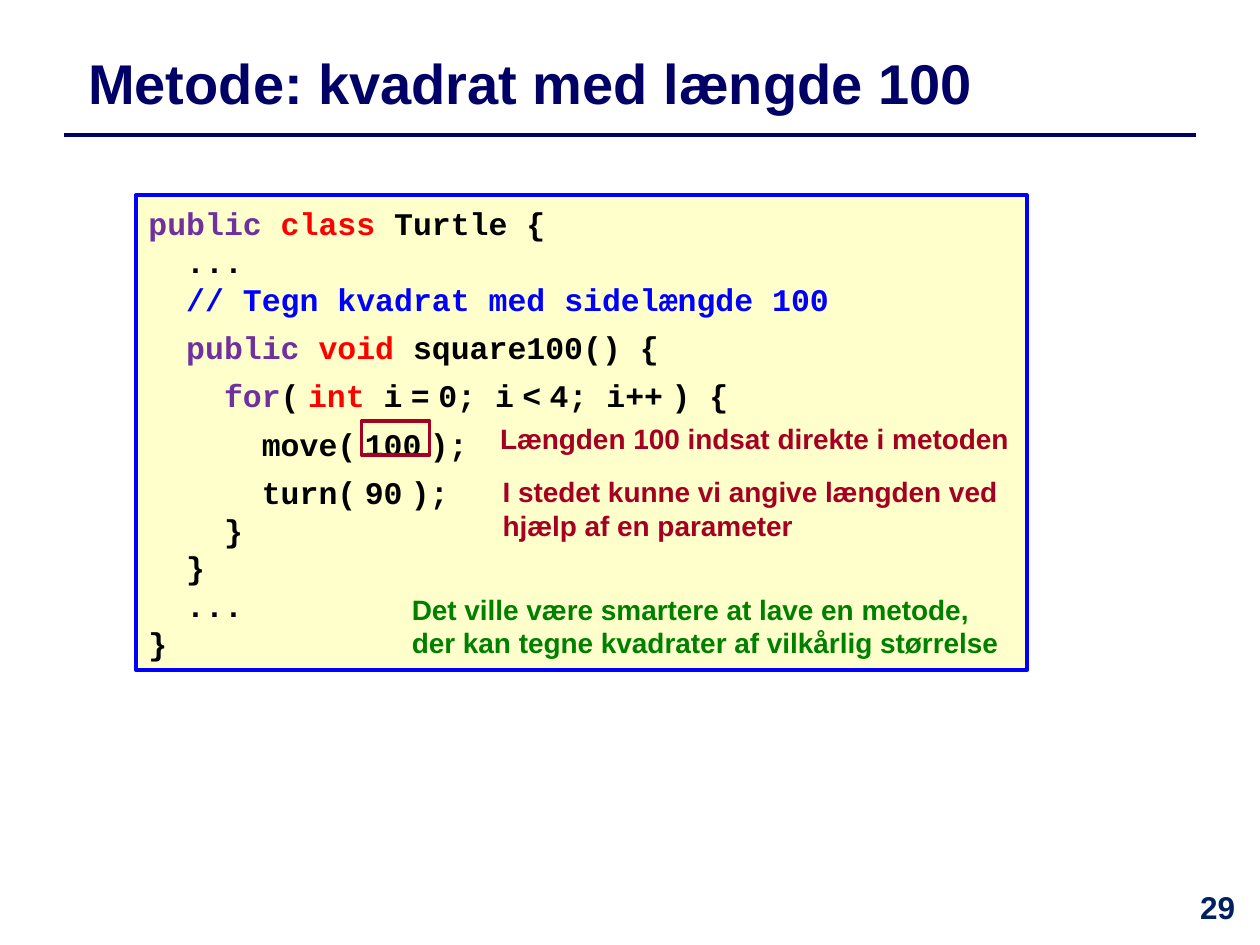
from pptx import Presentation
from pptx import util as u
from pptx.dml.color import RGBColor
from pptx.enum import shapes, text
from pptx.oxml.ns import qn
from lxml import etree

Pt = u.Pt

COLORS = {
    "navy": "000066", "paper": "FFFFCC", "blue": "0000FF", "purple": "7030A0",
    "red": "FF0000", "black": "000000", "crimson": "A50021", "green": "008000",
    "number": "002060",
}
TITLE = "Metode: kvadrat med længde 100"
THIN = "~"
CODE = [
    (0, 0, [("public ", "purple"), ("class ", "red"), ("Turtle {", "black")]),
    (1, 0, [("...", "black")]),
    (1, 0, [("// Tegn kvadrat med sidelængde 100", "blue")]),
    (1, 6, [("public ", "purple"), ("void", "red"), (" square100() {", "black")]),
    (2, 6, [("for", "purple"), ("(~", "black"), ("int ", "red"),
            ("i~=~0; i~<~4; i++~) {", "black")]),
    (3, 6, [("move(~100~);", "black")]),
    (3, 6, [("turn(~90~);", "black")]),
    (2, 0, [("}", "black")]),
    (1, 0, [("}", "black")]),
    (1, 0, [("...", "black")]),
    (0, 0, [("}", "black")]),
]
NOTES = [
    ("Det ville være smartere at lave en metode, der kan tegne kvadrater af vilkårlig størrelse",
     "green", (228.24, 334.8, 360, 46.08)),
    ("I stedet kunne vi angive længden ved hjælp af en parameter",
     "crimson", (280.08, 267.84, 308.88, 46.08)),
    ("Længden 100 indsat direkte i metoden",
     "crimson", (278.64, 237.6, 317.52, 26.64)),
]
CODE_BOX = (77.76, 111.6, 509.04, 271.44)
VALUE_BOX = (206.64, 240.48, 38.88, 19.44)
CODE_SIZE, THIN_SIZE, CODE_PITCH, LEVEL_INDENT = 18, 8, 21.6, 21.6


def rgb(name):
    return RGBColor.from_string(COLORS[name])


def points(values):
    return [Pt(v) for v in values]


def assign(obj, values):
    for name, value in values.items():
        setattr(obj, name, value)


def add_run(p, words, size, color, font="Arial"):
    r = p.add_run()
    r.text = words
    assign(r.font, {"name": font, "size": Pt(size), "bold": True})
    r.font.color.rgb = rgb(color)


def add_label(s, box, words, size, color, align):
    tf = s.shapes.add_textbox(*points(box)).text_frame
    tf.word_wrap = True
    p = tf.paragraphs[0]
    p.alignment = align
    add_run(p, words, size, color)


def add_box(s, box, line, width, fill=None):
    sp = s.shapes.add_shape(shapes.MSO_SHAPE.RECTANGLE, *points(box))
    sp.shadow.inherit = False
    if fill:
        sp.fill.solid()
        sp.fill.fore_color.rgb = rgb(fill)
    else:
        sp.fill.background()
    sp.line.color.rgb = rgb(line)
    sp.line.width = Pt(width)
    return sp


def add_title(s):
    sp = s.shapes.title
    assign(sp, dict(zip(("left", "top", "width", "height"),
                        points((43.2, 20.16, 646.56, 54)))))
    tf = sp.text_frame
    assign(tf, {"vertical_anchor": text.MSO_ANCHOR.MIDDLE, "word_wrap": True,
                "auto_size": text.MSO_AUTO_SIZE.NONE})
    p = tf.paragraphs[0]
    p.alignment = text.PP_ALIGN.LEFT
    add_run(p, TITLE, 32, "navy")

    rule = s.shapes.add_connector(shapes.MSO_CONNECTOR.STRAIGHT,
                                  *points((36.72, 77.04, 683.28, 77.04)))
    rule.line.color.rgb = rgb("navy")
    rule.line.width = Pt(2)
    etree.SubElement(rule._element.spPr, qn("a:effectLst"))


def add_code(s):
    tf = add_box(s, CODE_BOX, "blue", 2.25, "paper").text_frame
    assign(tf, {"word_wrap": True, "vertical_anchor": text.MSO_ANCHOR.TOP,
                "margin_top": Pt(5)})
    for i, (level, before, parts) in enumerate(CODE):
        p = tf.add_paragraph() if i else tf.paragraphs[0]
        assign(p, {"alignment": text.PP_ALIGN.LEFT, "space_before": Pt(before),
                   "line_spacing": Pt(CODE_PITCH)})
        p._p.get_or_add_pPr().set("marL", str(Pt(level * LEVEL_INDENT)))
        for words, color in parts:
            for j, piece in enumerate(words.split(THIN)):
                if j:
                    add_run(p, " ", THIN_SIZE, color, "Courier New")
                if piece:
                    add_run(p, piece, CODE_SIZE, color, "Courier New")


def main():
    prs = Presentation()
    assign(prs, {"slide_width": Pt(720), "slide_height": Pt(540)})
    s = prs.slides.add_slide(prs.slide_layouts[5])
    add_title(s)
    add_code(s)
    add_box(s, VALUE_BOX, "crimson", 2)
    for words, color, box in NOTES:
        add_label(s, box, words, 16, color, text.PP_ALIGN.LEFT)
    add_label(s, (671.76, 504, 48.24, 36), "29", 18, "number", text.PP_ALIGN.CENTER)
    prs.save("out.pptx")


if __name__ == "__main__":
    main()
